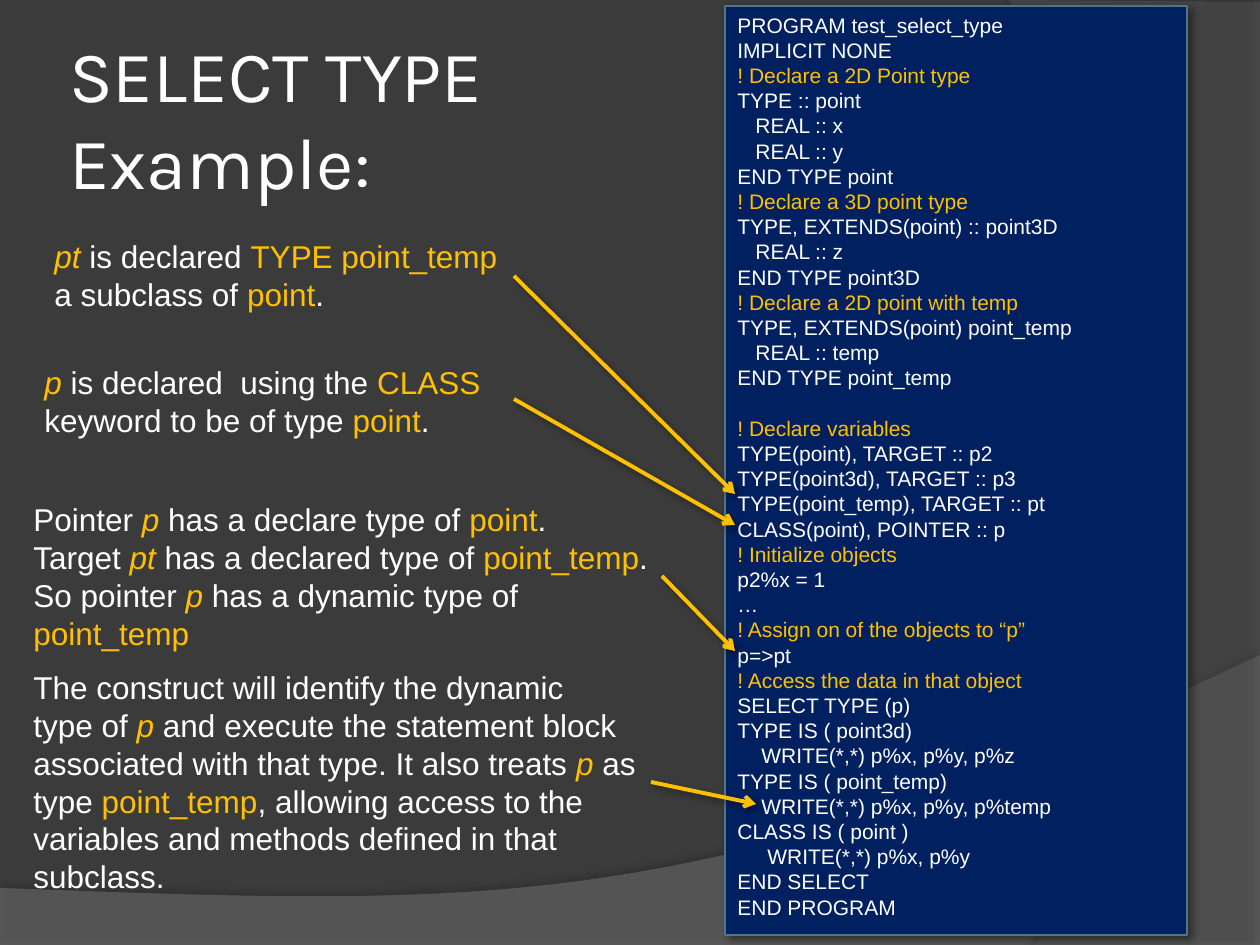
from pptx import Presentation
from pptx.dml.color import RGBColor
from pptx.enum.shapes import MSO_CONNECTOR, MSO_SHAPE
from pptx.enum.text import MSO_ANCHOR, PP_ALIGN
from pptx.oxml.ns import qn
from pptx.util import Pt
from lxml.etree import SubElement

SCALE = 914400 / 126
WHITE, GOLD = "FFFFFF", "FFC000"
INSETS = ("margin_left", "margin_top", "margin_right", "margin_bottom")
CODE = """PROGRAM test_select_type
IMPLICIT NONE
! Declare a 2D Point type
TYPE :: point
   REAL :: x
   REAL :: y
END TYPE point
! Declare a 3D point type
TYPE, EXTENDS(point) :: point3D
   REAL :: z
END TYPE point3D
! Declare a 2D point with temp
TYPE, EXTENDS(point) point_temp
   REAL :: temp
END TYPE point_temp

! Declare variables
TYPE(point), TARGET :: p2
TYPE(point3d), TARGET :: p3
TYPE(point_temp), TARGET :: pt
CLASS(point), POINTER :: p
! Initialize objects
p2%x = 1
…
! Assign on of the objects to “p”
p=>pt
! Access the data in that object
SELECT TYPE (p)
TYPE IS ( point3d)
    WRITE(*,*) p%x, p%y, p%z
TYPE IS ( point_temp)
    WRITE(*,*) p%x, p%y, p%temp
CLASS IS ( point )
     WRITE(*,*) p%x, p%y
END SELECT
END PROGRAM"""
NOTES = [
    ((42, 231, 472, 89), False, ["|pt| is declared |TYPE point_temp|", "a subclass of |point|."]),
    ((32, 357, 546, 89), True,
     ["|p| is declared  using the |CLASS| keyword to be of type |point|."]),
    ((21, 494, 640, 165), True,
     ["Pointer |p| has a declare type of |point|.",
      "Target |pt| has a declared type of |point_temp|.",
      "So pointer |p| has a dynamic type of |point_temp|"]),
    ((21, 662, 634, 242), False,
     ["The construct will identify the dynamic",
      "type of |p| and execute the statement block",
      "associated with that type. It also treats |p| as",
      "type |point_temp|, allowing access to the",
      "variables and methods defined in that",
      "subclass."]),
]
ARROWS = [(514, 276, 735, 494), (514, 399, 735, 525),
          (662, 576, 735, 651), (651, 782, 756, 804)]


def px(n):
    return round(n * SCALE)


def box_px(box):
    return [px(n) for n in box]


def color(value):
    return RGBColor.from_string(value)


def set_attrs(obj, values):
    for name, value in values.items():
        setattr(obj, name, value)


def add_shadow(sp, alpha, angle):
    effects = SubElement(sp._element.spPr, qn("a:effectLst"))
    shadow = SubElement(effects, qn("a:outerShdw"), blurRad="50800",
                        dist="38100", dir=str(angle * 60000), rotWithShape="0")
    tint = SubElement(shadow, qn("a:srgbClr"), val="000000")
    SubElement(tint, qn("a:alpha"), val=str(alpha * 1000))


def add_run(p, text, size, fill, italic=False, font="Arial"):
    r = p.add_run()
    r.text = text
    set_attrs(r.font, {"size": Pt(size), "name": font, "italic": italic})
    r.font.color.rgb = color(fill)


def bezier(points, steps=40):
    a, b, c, d = points
    for i in range(1, steps + 1):
        t = i / steps
        u = 1 - t
        yield tuple(px(u**3 * a[k] + 3 * u * u * t * b[k] + 3 * u * t * t * c[k] + t**3 * d[k])
                    for k in (0, 1))


def add_swoosh(s, corners, curve, fill, opacity, shadow):
    start, *rest = [tuple(box_px(c)) for c in corners]
    builder = s.shapes.build_freeform(*start)
    builder.add_line_segments(rest, close=False)
    builder.add_line_segments(bezier([corners[-1], *curve]), close=True)
    sp = builder.convert_to_shape()
    sp.fill.solid()
    sp.fill.fore_color.rgb = color(fill)
    tint = sp._element.spPr.find(qn("a:solidFill"))[0]
    SubElement(tint, qn("a:alpha"), val=str(opacity * 1000))
    sp.line.fill.background()
    add_shadow(sp, *shadow)


def add_background(s):
    s.background.fill.solid()
    s.background.fill.fore_color.rgb = color("3B3B3B")
    add_swoosh(s, [(0, 888), (0, 945), (1260, 945), (1260, 655)],
               [(704, 919), (493, 906), (0, 888)], "7F7F7F", 45, (35, 270))
    add_swoosh(s, [(1260, 2), (1260, 945), (1034, 945)],
               [(1178, 780), (1283, 378), (1008, 0)], "5E5E5E", 40, (45, 180))


def add_title(s, box, text):
    sp = s.shapes.title
    set_attrs(sp, dict(zip(("left", "top", "width", "height"), box_px(box))))
    tf = sp.text_frame
    set_attrs(tf, {"word_wrap": True, "vertical_anchor": MSO_ANCHOR.MIDDLE,
                   **dict.fromkeys(INSETS, px(6))})
    p = tf.paragraphs[0]
    p.alignment = PP_ALIGN.LEFT
    add_run(p, text, 41.4, WHITE, font="Karla")


def add_code(s, box, code):
    sp = s.shapes.add_shape(MSO_SHAPE.RECTANGLE, *box_px(box))
    sp.fill.solid()
    sp.fill.fore_color.rgb = color("002060")
    sp.line.color.rgb = color("517682")
    sp.line.width = Pt(0.75)
    add_shadow(sp, 40, 45)
    tf = sp.text_frame
    set_attrs(tf, {"word_wrap": True, "vertical_anchor": MSO_ANCHOR.TOP})
    p, gap = tf.paragraphs[0], 0
    for i, line in enumerate(code.split("\n")):
        if not line:
            gap = 14.4
            continue
        p = tf.add_paragraph() if i else p
        text = line.lstrip()
        set_attrs(p, {"alignment": PP_ALIGN.LEFT, "space_before": Pt(gap)})
        indent = px(6 * (len(line) - len(text)))
        p._p.get_or_add_pPr().set("marL", str(indent))
        add_run(p, text, 12, GOLD if text.startswith("!") else WHITE)
        gap = 0


def add_note(s, box, wrap, lines):
    tf = s.shapes.add_textbox(*box_px(box)).text_frame
    tf.word_wrap = wrap
    for i, line in enumerate(lines):
        p = tf.add_paragraph() if i else tf.paragraphs[0]
        for k, part in enumerate(line.split("|")):
            if part:
                marked = k % 2 == 1
                add_run(p, part, 18, GOLD if marked else WHITE, marked and part in ("p", "pt"))


def add_arrow(s, ends):
    c = s.shapes.add_connector(MSO_CONNECTOR.STRAIGHT, *box_px(ends))
    c.line.color.rgb = color(GOLD)
    c.line.width = Pt(2.25)
    SubElement(c.line._get_or_add_ln(), qn("a:tailEnd"), type="arrow")
    add_shadow(c, 40, 45)


def main():
    prs = Presentation()
    set_attrs(prs, {"slide_width": px(1260), "slide_height": px(945)})
    s = prs.slides.add_slide(prs.slide_layouts[5])
    add_background(s)
    add_title(s, (63, 38, 662, 158), "SELECT TYPE Example:")
    add_code(s, (725, 6, 462, 929), CODE)
    for note in NOTES:
        add_note(s, *note)
    for ends in ARROWS:
        add_arrow(s, ends)
    prs.save("out.pptx")


if __name__ == "__main__":
    main()
